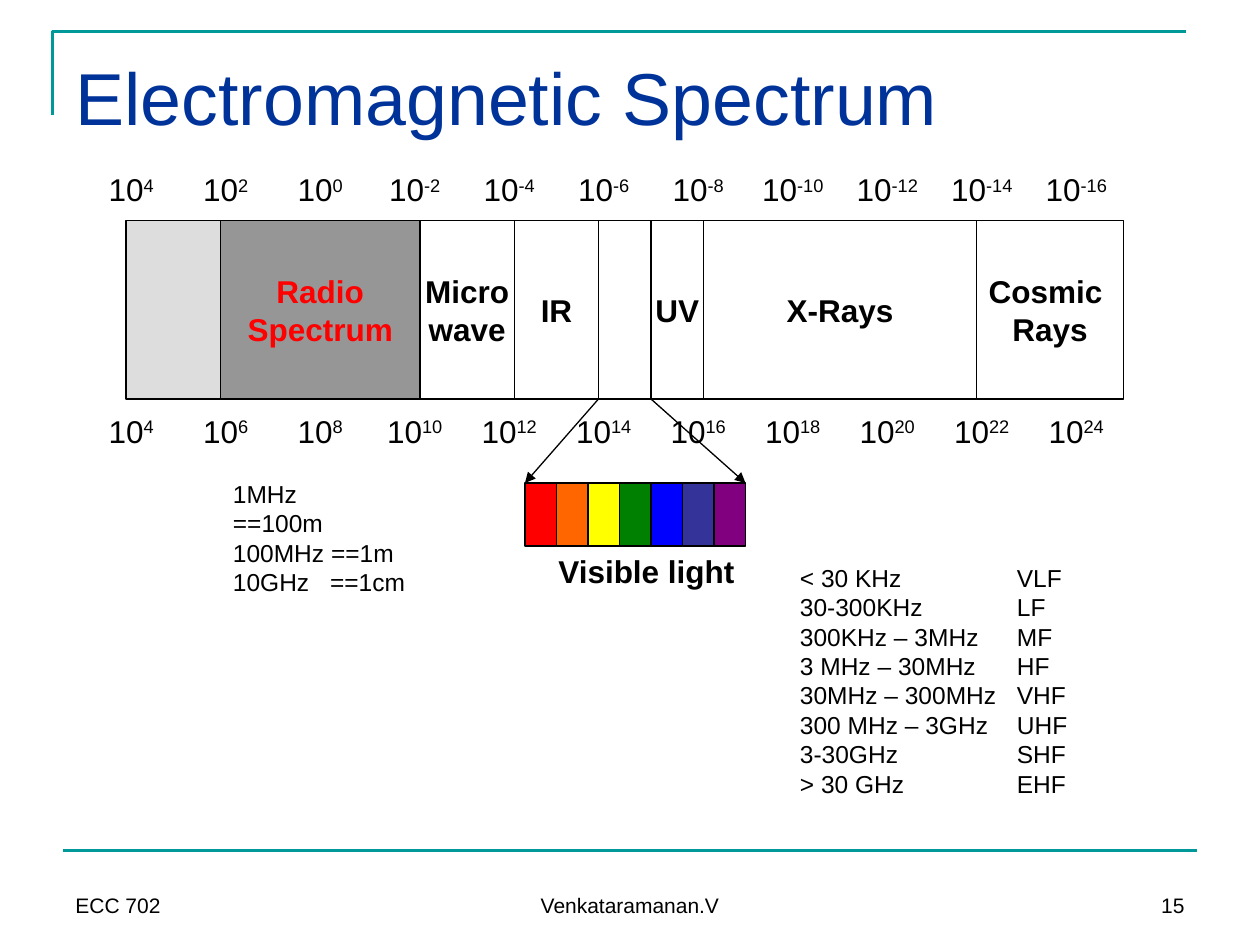
from dataclasses import dataclass
from itertools import pairwise

from lxml.etree import SubElement
from pptx import Presentation
from pptx.dml.color import RGBColor
from pptx.enum.shapes import MSO_CONNECTOR as Connector, MSO_SHAPE as Shape
from pptx.enum.text import MSO_ANCHOR as Anchor, MSO_AUTO_SIZE as AutoSize, PP_ALIGN as Align
from pptx.oxml.ns import qn
from pptx.util import Pt


@dataclass(frozen=True)
class Theme:
    font: str = "Arial"
    ink: str = "000000"
    paper: str = "FFFFFF"
    title: str = "003399"
    accent: str = "009999"
    highlight: str = "FF0000"
    radio: str = "969696"
    long_wave: str = "DDDDDD"
    title_size: int = 42
    label_size: int = 18
    note_size: int = 14
    footer_size: int = 12
    thin: float = 0.75
    rule: float = 1.5


THEME = Theme()
RAINBOW = ("FF0000", "FF6600", "FFFF00", "008000", "0000FF", "333399", "800080")
BAND_EDGES = (72, 126, 240, 294, 342, 372, 402, 558, 642)
BANDS = (
    ("", THEME.long_wave, THEME.ink),
    ("Radio\nSpectrum", THEME.radio, THEME.highlight),
    ("Micro\nwave", THEME.paper, THEME.ink),
    ("IR", THEME.paper, THEME.ink),
    ("", THEME.paper, THEME.ink),
    ("UV", THEME.paper, THEME.ink),
    ("X-Rays", THEME.paper, THEME.ink),
    ("Cosmic \nRays", THEME.paper, THEME.ink),
)
BAND_TOP, BAND_HEIGHT = 126, 102
BAND_BOTTOM = BAND_TOP + BAND_HEIGHT
SCALE_LEFT, SCALE_STEP, SCALE_HEIGHT = 48, 54, 36
WAVELENGTHS = range(4, -17, -2)
FREQUENCIES = range(4, 25, 2)
VISIBLE_LEFT, VISIBLE_TOP, COLOUR_WIDTH, COLOUR_HEIGHT = 300, 276, 18, 36
CONVERSIONS = "1MHz\n==100m\n100MHz ==1m\n10GHz\t==1cm"
RADIO_BANDS = (
    ("< 30 KHz", "VLF"),
    ("30-300KHz", "LF"),
    ("300KHz – 3MHz", "MF"),
    ("3 MHz – 30MHz", "HF"),
    ("30MHz – 300MHz", "VHF"),
    ("300 MHz – 3GHz", "UHF"),
    ("3-30GHz", "SHF"),
    ("> 30 GHz", "EHF"),
)


def write_text(frame, text, size, colour=THEME.ink, bold=False, align=Align.LEFT,
               anchor=Anchor.TOP, wrap=True, superscript="", tab=None):
    """Write one paragraph per line; superscript follows the last line, tab is a stop in points."""
    frame.word_wrap = wrap
    frame.auto_size = AutoSize.NONE
    frame.vertical_anchor = anchor
    for index, line in enumerate(text.split("\n")):
        para = frame.add_paragraph() if index else frame.paragraphs[0]
        para.alignment = align
        if tab:
            tabs = SubElement(para._p.get_or_add_pPr(), qn("a:tabLst"))
            SubElement(tabs, qn("a:tab"), pos=str(Pt(tab)), algn="l")
        para.add_run().text = line
    if superscript:
        span = para.add_run()
        span.text = superscript
        span.font._element.set("baseline", "30000")
    for para in frame.paragraphs:
        for span in para.runs:
            span.font.name = THEME.font
            span.font.size = Pt(size)
            span.font.bold = bold
            span.font.color.rgb = RGBColor.from_string(colour)


class SlideBuilder:
    """Draws styled elements on one slide; all lengths are in points."""

    def __init__(self, slide, theme):
        self.slide = slide
        self.theme = theme

    def style_line(self, line, colour, width):
        line.color.rgb = RGBColor.from_string(colour)
        line.width = Pt(width)

    def title(self, text, left, top, width, height):
        box = self.slide.shapes.title
        box.left, box.top, box.width, box.height = map(Pt, (left, top, width, height))
        box.text_frame.margin_top = Pt(8)
        write_text(box.text_frame, text, self.theme.title_size, self.theme.title)

    def text(self, text, left, top, width, height, **text_format):
        box = self.slide.shapes.add_textbox(*map(Pt, (left, top, width, height)))
        write_text(box.text_frame, text, **text_format)

    def rectangle(self, left, top, width, height, fill, text="", outlined=True, **text_format):
        box = self.slide.shapes.add_shape(Shape.RECTANGLE, *map(Pt, (left, top, width, height)))
        box.shadow.inherit = False
        box.fill.solid()
        box.fill.fore_color.rgb = RGBColor.from_string(fill)
        if outlined:
            self.style_line(box.line, self.theme.ink, self.theme.thin)
        else:
            box.line.fill.background()
        if text:
            write_text(box.text_frame, text, self.theme.label_size, align=Align.CENTER,
                       anchor=Anchor.MIDDLE, wrap=False, **text_format)

    def line(self, start, end, colour, width, arrow=False):
        connector = self.slide.shapes.add_connector(Connector.STRAIGHT, *map(Pt, start + end))
        self.style_line(connector.line, colour, width)
        if arrow:
            SubElement(connector.line._get_or_add_ln(), qn("a:tailEnd"), type="triangle")
        SubElement(connector._element.spPr, qn("a:effectLst"))

    def open_outline(self, start, *points):
        builder = self.slide.shapes.build_freeform(*map(Pt, start))
        builder.add_line_segments([tuple(map(Pt, point)) for point in points], close=False)
        outline = builder.convert_to_shape()
        outline.shadow.inherit = False
        outline.fill.background()
        self.style_line(outline.line, self.theme.accent, self.theme.rule)

    def power_scale(self, exponents, top):
        """Draw a row of powers of ten."""
        for index, exponent in enumerate(exponents):
            self.rectangle(SCALE_LEFT + index * SCALE_STEP, top, SCALE_STEP, SCALE_HEIGHT,
                           self.theme.paper, "10", outlined=False, superscript=str(exponent))


def main():
    deck = Presentation()
    deck.slide_width, deck.slide_height = Pt(720), Pt(540)
    page = SlideBuilder(deck.slides.add_slide(deck.slide_layouts[5]), THEME)

    page.open_outline((30, 66), (30, 18), (678, 18))
    page.line((36, 486), (684, 486), THEME.accent, THEME.rule)
    page.title("Electromagnetic Spectrum", 36, 21.6, 648, 90)
    for text, left, width, align in (("ECC 702", 36, 168, Align.LEFT),
                                     ("Venkataramanan.V", 246, 228, Align.CENTER),
                                     ("15", 516, 168, Align.RIGHT)):
        page.text(text, left, 492, width, 36, size=THEME.footer_size,
                  align=align, anchor=Anchor.BOTTOM)

    page.power_scale(WAVELENGTHS, BAND_TOP - SCALE_HEIGHT)
    page.power_scale(FREQUENCIES, BAND_BOTTOM)
    for (left, right), (name, fill, colour) in zip(pairwise(BAND_EDGES), BANDS):
        page.rectangle(left, BAND_TOP, right - left, BAND_HEIGHT, fill, name,
                       colour=colour, bold=True)

    visible_right = VISIBLE_LEFT + len(RAINBOW) * COLOUR_WIDTH
    for band_edge, colour_edge in zip(BAND_EDGES[4:6], (VISIBLE_LEFT, visible_right)):
        page.line((band_edge, BAND_BOTTOM), (colour_edge, VISIBLE_TOP),
                  THEME.ink, THEME.thin, arrow=True)
    for index, colour in enumerate(RAINBOW):
        page.rectangle(VISIBLE_LEFT + index * COLOUR_WIDTH, VISIBLE_TOP,
                       COLOUR_WIDTH, COLOUR_HEIGHT, colour)
    page.text("Visible light", 312, 312, 115.2, 28.8,
              size=THEME.label_size, bold=True, wrap=False)

    page.text(CONVERSIONS, 126, 270, 121.7, 74.4, size=THEME.note_size, tab=55.5)
    page.text("\n".join(map("\t".join, RADIO_BANDS)), 450, 318, 228, 157.7,
              size=THEME.note_size, tab=124)
    deck.save("out.pptx")


if __name__ == "__main__":
    main()
